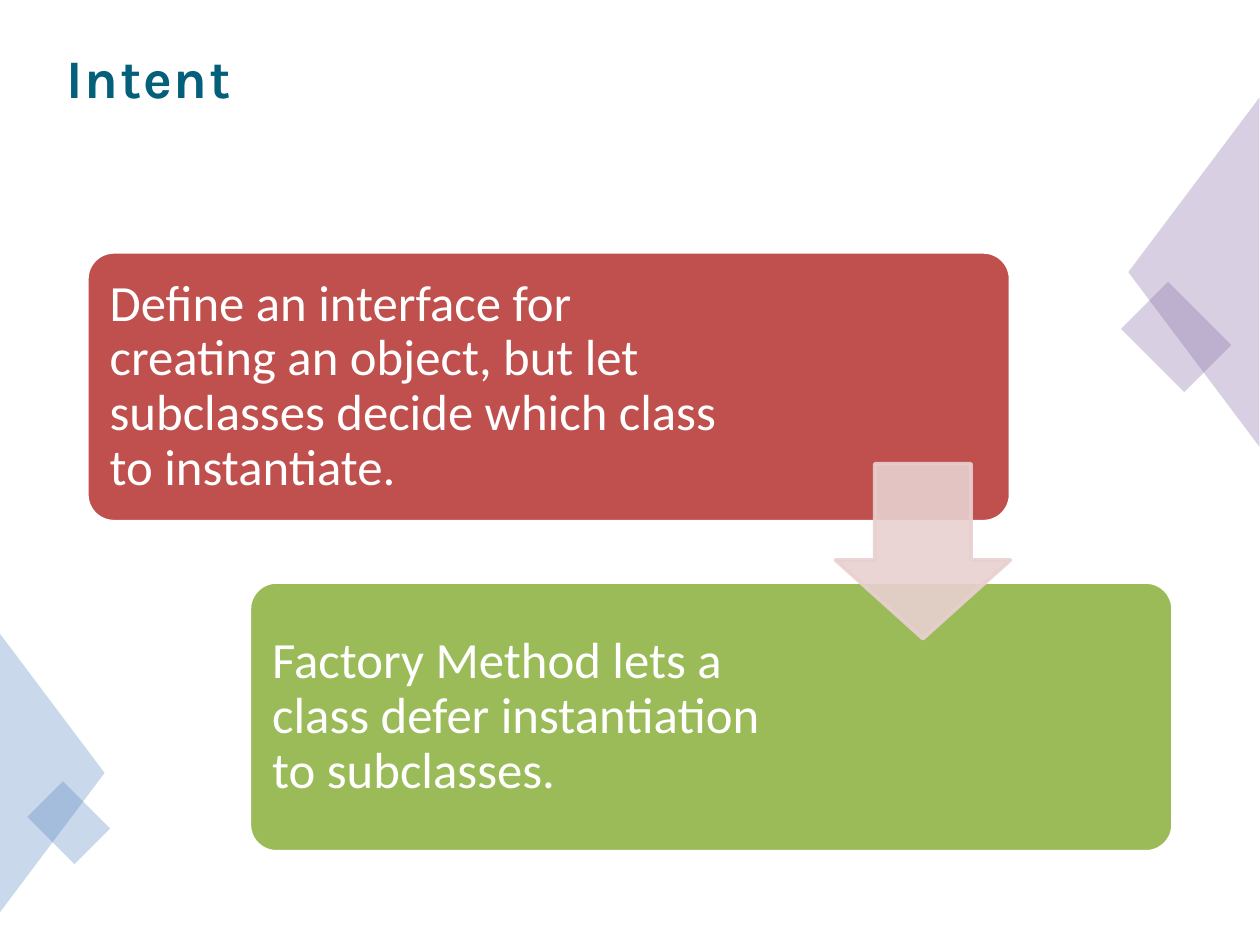
from pptx import Presentation
from pptx.dml.color import RGBColor
from pptx.enum.shapes import MSO_SHAPE as Shape
from pptx.enum.text import MSO_ANCHOR as Anchor, MSO_AUTO_SIZE as AutoSize, PP_ALIGN as Align
from pptx.oxml.ns import qn
from pptx.util import Inches, Pt

TITLE_COLOR, WHITE = "04607A", "FFFFFF"
PURPLE, BLUE = "8064A2", "4F81BD"
RED, GREEN, PINK = "C0504D", "9BBB59", "E8D0D0"


def color(hex_value):
    return RGBColor.from_string(hex_value)


def set_opacity(shape, percent):
    """Apply one opacity to the fill and the outline of a shape."""
    for element in shape._element.spPr.iter(qn("a:srgbClr")):
        alpha = element.makeelement(qn("a:alpha"), {"val": str(percent * 1000)})
        element.append(alpha)


def add_shape(slide, kind, box, fill, line=None, opacity=100, rotation=0, adjustments=()):
    shape = slide.shapes.add_shape(kind, *map(Inches, box))
    shape.shadow.inherit = False
    shape.rotation = rotation
    for index, value in enumerate(adjustments):
        shape.adjustments[index] = value
    shape.fill.solid()
    shape.fill.fore_color.rgb = color(fill)
    if line:
        shape.line.color.rgb = color(line)
        shape.line.width = Pt(2)
    else:
        shape.line.fill.background()
    if opacity < 100:
        set_opacity(shape, opacity)


def write_text(frame, text, font_name, size, text_color, margin, anchor, bold=False):
    frame.word_wrap = True
    frame.auto_size = AutoSize.NONE
    frame.vertical_anchor = anchor
    frame.margin_left = frame.margin_right = Inches(margin)
    frame.margin_top = frame.margin_bottom = Inches(margin)
    paragraph = frame.paragraphs[0]
    paragraph.alignment = Align.LEFT
    run = paragraph.add_run()
    run.text = text
    font = run.font
    font.name, font.size, font.bold = font_name, Pt(size), bold
    font.color.rgb = color(text_color)
    return paragraph


def add_title(slide, text):
    title = slide.shapes.title
    title.left, title.top, title.width, title.height = map(Inches, (0.53, 0.35, 8.94, 1.24))
    paragraph = write_text(title.text_frame, text, "Karla", 31, TITLE_COLOR, 0, Anchor.TOP, bold=True)
    paragraph.runs[0].font._element.set("spc", "100")


def add_step(slide, left, top, fill, text, text_width):
    """Add a rounded card whose text keeps clear of the arrow on the right."""
    add_shape(slide, Shape.ROUNDED_RECTANGLE, (left, top, 7.33, 2.14), fill,
              line=WHITE, adjustments=[0.1])
    box = (left + 0.06, top + 0.06, text_width, 2.02)
    text_box = slide.shapes.add_textbox(*map(Inches, box))
    paragraph = write_text(text_box.text_frame, text, "Calibri", 29, WHITE, 0.12, Anchor.MIDDLE)
    paragraph.line_spacing = 0.9


def add_decorations(slide):
    for kind, box, fill, rotation in (
        (Shape.RECTANGLE, (8.98, 2.41, 0.71, 0.53), PURPLE, 45),
        (Shape.ISOSCELES_TRIANGLE, (8.09, 1.64, 2.77, 1.04), PURPLE, 270),
        (Shape.ISOSCELES_TRIANGLE, (-0.69, 5.72, 2.21, 0.83), BLUE, 90),
        (Shape.RECTANGLE, (0.28, 6.33, 0.53, 0.4), BLUE, 45),
    ):
        add_shape(slide, kind, box, fill, opacity=30, rotation=rotation)


def main():
    presentation = Presentation()
    presentation.slide_width, presentation.slide_height = Inches(10), Inches(7.5)
    slide = presentation.slides.add_slide(presentation.slide_layouts[5])
    add_title(slide, "Intent")
    add_decorations(slide)
    add_step(slide, 0.69, 2, RED,
             "Define an interface for creating an object, but let subclasses "
             "decide which class to instantiate.", 5.12)
    add_step(slide, 1.98, 4.62, GREEN,
             "Factory Method lets a class defer instantiation to subclasses.", 4.52)
    add_shape(slide, Shape.DOWN_ARROW, (6.63, 3.68, 1.39, 1.39), PINK,
              line=PINK, opacity=90, adjustments=[0.55, 0.45])
    presentation.save("out.pptx")


if __name__ == "__main__":
    main()
